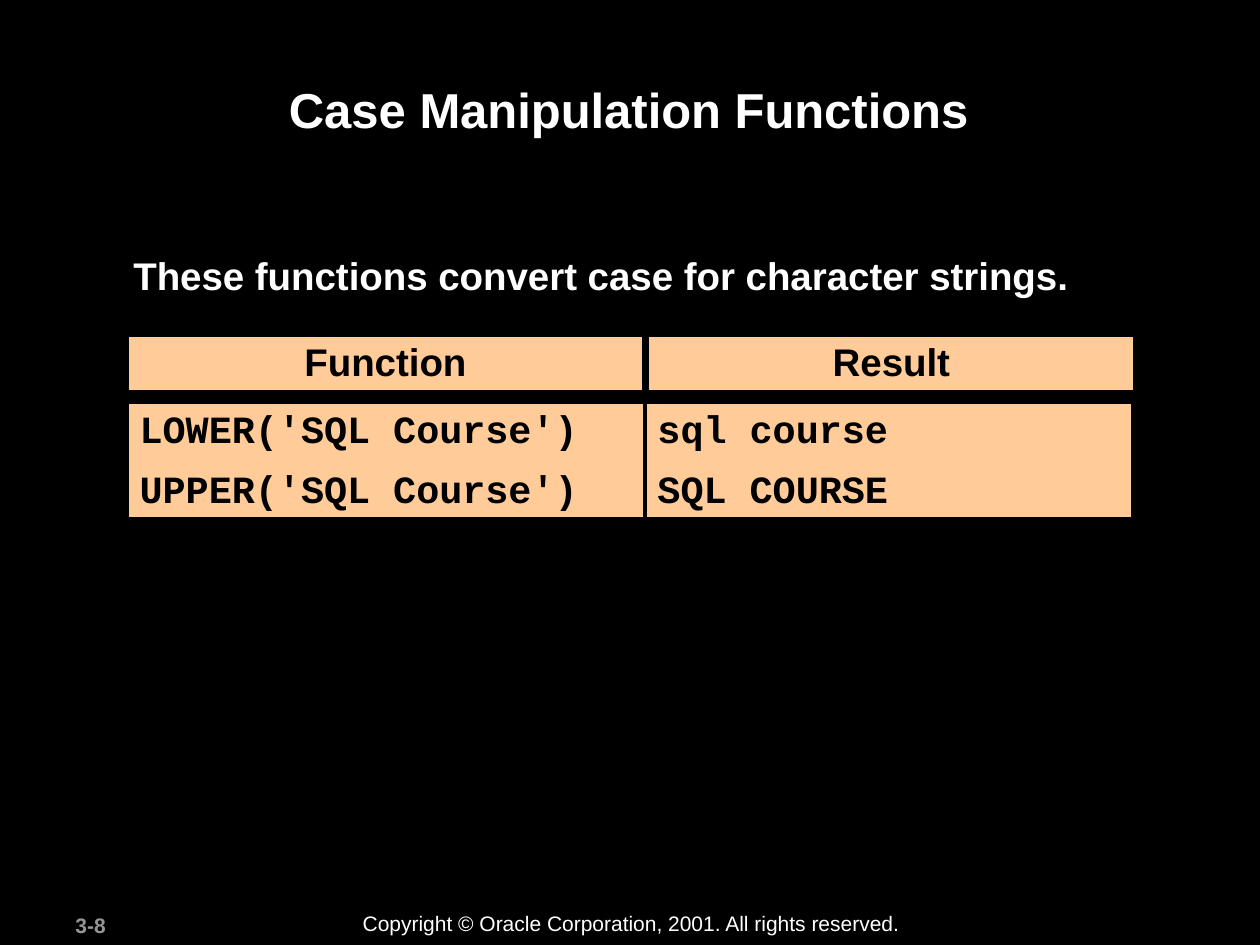
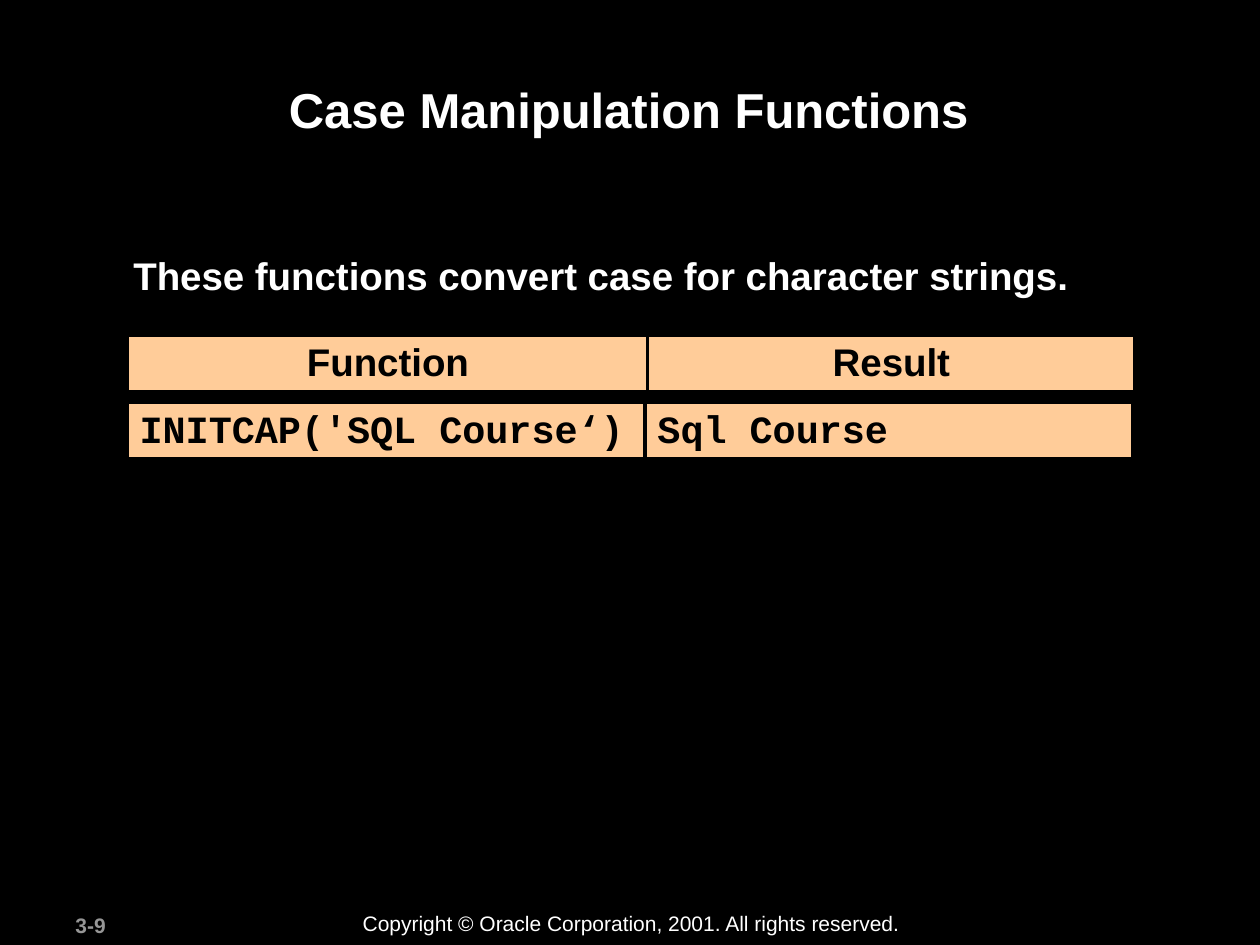
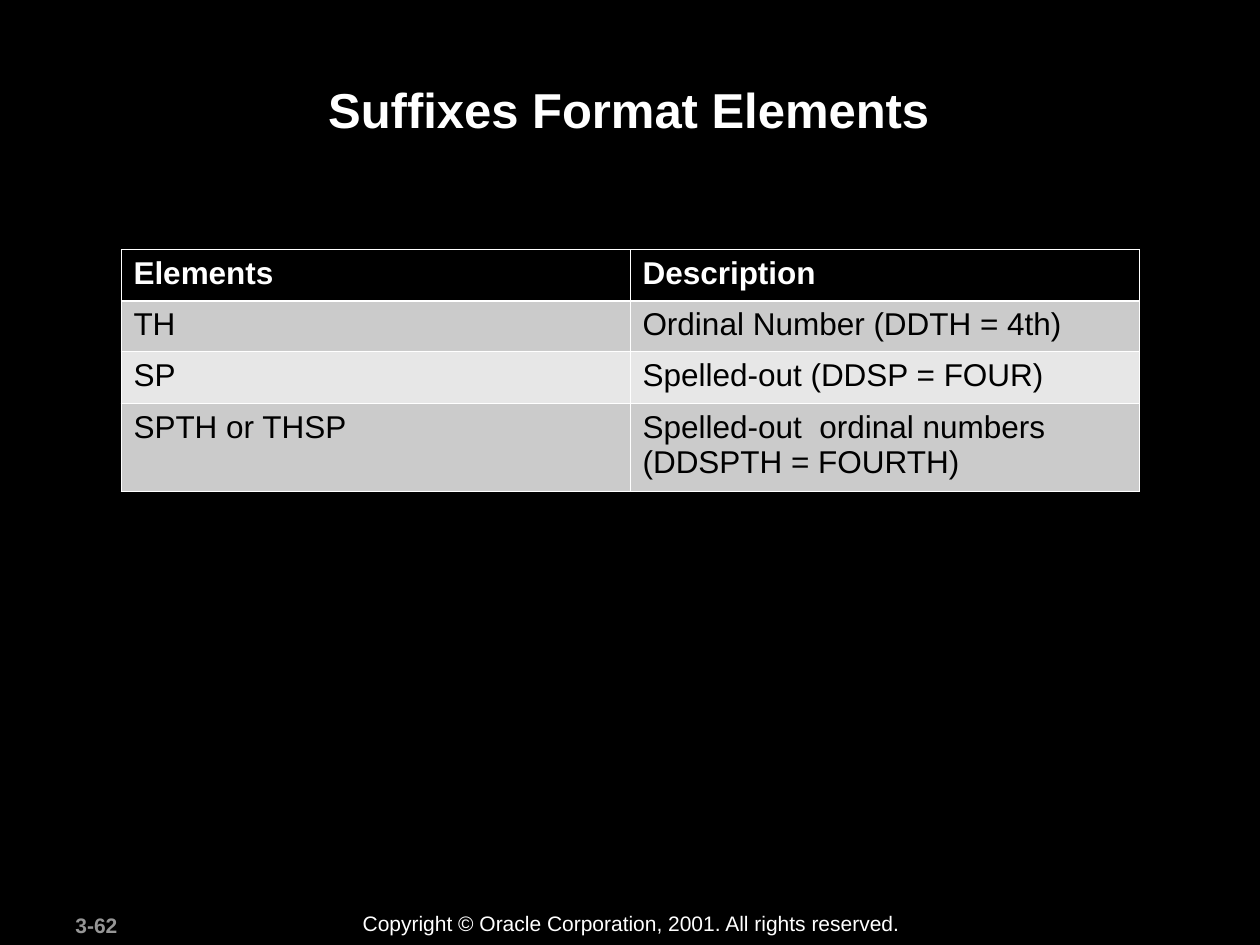
"""Build three slides on case functions and format element suffixes."""
from lxml import etree
from pptx import Presentation
from pptx.dml.color import RGBColor
from pptx.enum.shapes import MSO_SHAPE
from pptx.enum.text import MSO_ANCHOR, PP_ALIGN
from pptx.oxml.ns import qn
from pptx.util import Inches, Pt

RECTANGLE = MSO_SHAPE.RECTANGLE
TOP = MSO_ANCHOR.TOP
LEFT, CENTER = PP_ALIGN.LEFT, PP_ALIGN.CENTER

COLORS = {
    "black": "000000",
    "white": "FFFFFF",
    "page": "969696",
    "peach": "FFCC99",
    "dark_band": "CBCBCB",
    "light_band": "E7E7E7",
}
SANS, MONO = "Arial", "Courier New"
COPYRIGHT = "Copyright © Oracle Corporation, 2001. All rights reserved."
TITLE_BOX = (0.94, 0.58, 8.1, 0.96)
INTRO_BOX = (0.96, 1.98, 8.08, 0.45)
PAGE_BOX = (0.5, 7.19, 1.05, 0.3)
COPYRIGHT_BOX = (2.78, 7.18, 4.48, 0.3)
CASE_BOX = (1.01, 2.66, 8.0, 0.45)
SUFFIX_BOX = (0.96, 1.98, 8.08, 1.92)
SUFFIX_ROW_HEIGHTS = (0.41, 0.4, 0.41, 0.7)
THIN, THICK = 0.45, 1.47


def color(key):
    """Return the named palette colour."""
    return RGBColor.from_string(COLORS[key])


def write_text(frame, text, size=22, font=SANS, ink="white", bold=True,
               align=LEFT, line_spacing=None, space_before=0):
    """Write each line of text as a formatted paragraph."""
    frame.word_wrap = True
    frame.vertical_anchor = TOP
    for index, line in enumerate(text.split("\n")):
        paragraph = frame.add_paragraph() if index else frame.paragraphs[0]
        paragraph.alignment = align
        paragraph.line_spacing = line_spacing
        if index:
            paragraph.space_before = Pt(space_before)
        run = paragraph.add_run()
        run.text = line
        run.font.name, run.font.size, run.font.bold = font, Pt(size), bold
        run.font.color.rgb = color(ink)


def add_label(slide, box, text, **text_format):
    """Add a text box with formatted text."""
    label = slide.shapes.add_textbox(*map(Inches, box))
    write_text(label.text_frame, text, **text_format)


def add_panel(slide, box, text, **text_format):
    """Add a peach panel outlined in black."""
    panel = slide.shapes.add_shape(RECTANGLE, *map(Inches, box))
    panel.shadow.inherit = False
    panel.fill.solid()
    panel.fill.fore_color.rgb = color("peach")
    panel.line.color.rgb = color("black")
    panel.line.width = Pt(2)
    write_text(panel.text_frame, text, ink="black", line_spacing=0.95,
               **text_format)


def add_frame(prs, title, page):
    """Add a slide with its title, page number and copyright line."""
    slide = prs.slides.add_slide(prs.slide_layouts[6])
    add_label(slide, PAGE_BOX, page, size=12, ink="page")
    add_label(slide, COPYRIGHT_BOX, COPYRIGHT, size=12, bold=False)
    add_label(slide, TITLE_BOX, title, size=28, align=CENTER)
    return slide


def add_case_grid(slide, box, calls, results, header_width):
    """Place the header panels and the example panels below them."""
    left, top, width, header_height = box
    result_width = 3.87
    result_left = left + width - result_width
    examples_top = top + 0.53
    examples_height = header_height + 0.48 * (len(calls) - 1)
    add_panel(slide, (left, top, header_width, header_height),
              "Function", align=CENTER)
    add_panel(slide, (result_left, top, result_width, header_height),
              "Result", align=CENTER)
    for x, column_width, lines in ((left, 4.18, calls),
                                   (result_left - 0.02, result_width, results)):
        add_panel(slide, (x, examples_top, column_width, examples_height),
                  "\n".join(lines), font=MONO, space_before=9.6)


def add_case_slide(prs, page, calls, results, header_width):
    """Add a slide of case functions and their results."""
    slide = add_frame(prs, "Case Manipulation Functions", page)
    add_label(slide, INTRO_BOX,
              "These functions convert case for character strings.",
              line_spacing=0.95)
    add_case_grid(slide, CASE_BOX, calls, results, header_width)


def set_borders(cell, top, bottom):
    """Draw white cell borders with the given top and bottom widths."""
    properties = cell._tc.get_or_add_tcPr()
    for side, width in (("L", THIN), ("R", THIN), ("T", top), ("B", bottom)):
        border = etree.SubElement(properties, qn(f"a:ln{side}"),
                                  w=str(Pt(width)))
        fill = etree.SubElement(border, qn("a:solidFill"))
        etree.SubElement(fill, qn("a:srgbClr"), val=COLORS["white"])


def add_banded_table(slide, box, rows, row_heights):
    """Add a table with a black header and alternating grey rows."""
    table = slide.shapes.add_table(len(rows), len(rows[0]),
                                   *map(Inches, box)).table
    for row_index, (texts, height) in enumerate(zip(rows, row_heights)):
        table.rows[row_index].height = Inches(height)
        header = row_index == 0
        band = "dark_band" if row_index % 2 else "light_band"
        for column_index, text in enumerate(texts):
            cell = table.cell(row_index, column_index)
            set_borders(cell, THICK if row_index == 1 else THIN,
                        THICK if header else THIN)
            cell.fill.solid()
            cell.fill.fore_color.rgb = color("black" if header else band)
            write_text(cell.text_frame, text, size=18, bold=header,
                       ink="white" if header else "black")


def add_suffix_slide(prs, page):
    """Add the slide of suffix format elements."""
    slide = add_frame(prs, "Suffixes Format Elements", page)
    rows = [
        ("Elements", "Description"),
        ("TH", "Ordinal Number (DDTH = 4th)"),
        ("SP", "Spelled-out (DDSP = FOUR)"),
        ("SPTH or THSP", "Spelled-out  ordinal numbers (DDSPTH = FOURTH)"),
    ]
    add_banded_table(slide, SUFFIX_BOX, rows, SUFFIX_ROW_HEIGHTS)


def main():
    """Build and save the presentation."""
    prs = Presentation()
    prs.slide_width, prs.slide_height = Inches(10), Inches(7.5)
    backdrop = prs.slide_master.background.fill
    backdrop.solid()
    backdrop.fore_color.rgb = color("black")
    add_case_slide(prs, "3-8", ["LOWER('SQL Course')", "UPPER('SQL Course')"],
                   ["sql course", "SQL COURSE"], header_width=4.1)
    add_case_slide(prs, "3-9", ["INITCAP('SQL Course‘)"], ["Sql Course"],
                   header_width=4.14)
    add_suffix_slide(prs, "3-62")
    prs.save("out.pptx")


if __name__ == "__main__":
    main()
